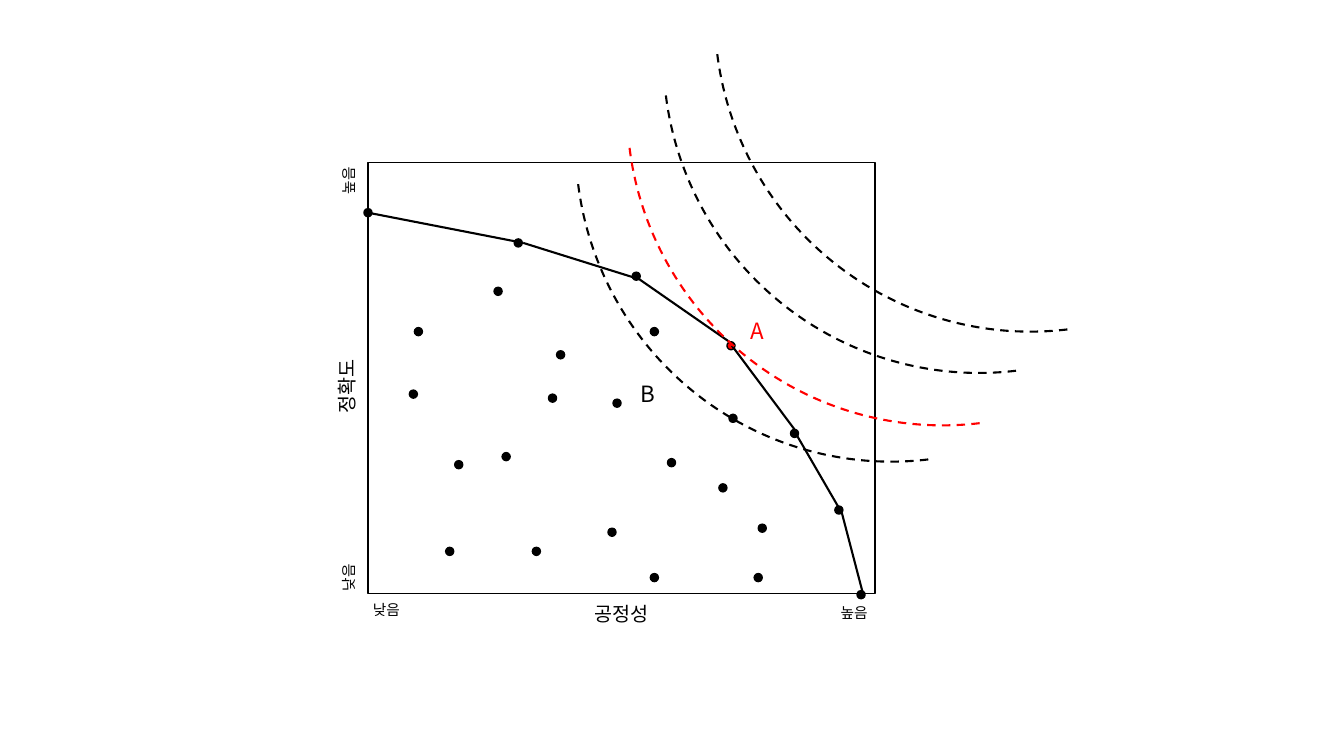
"""Build a slide of the accuracy and fairness trade-off with its frontier and indifference curves."""
from dataclasses import dataclass

from pptx import Presentation
from pptx.dml.color import RGBColor
from pptx.enum.dml import MSO_LINE_DASH_STYLE as DASH
from pptx.enum.shapes import MSO_CONNECTOR as CONN, MSO_SHAPE as SHAPE
from pptx.oxml.xmlchemy import OxmlElement
from pptx.util import Inches, Pt


@dataclass(frozen=True)
class Theme:
    font: str = "Noto Sans CJK KR"
    ink: str = "000000"
    accent: str = "FF0000"
    point: float = 16
    axis: float = 14
    tick: float = 10.5
    thin: float = 1
    thick: float = 1.5


T = Theme()
FRAME = (3.65, 1.61, 5.03, 4.28)
DOT = 0.08
DOTS = [
    (3.61, 2.07), (5.1, 2.37), (4.11, 3.25), (4.9, 2.85), (7.84, 4.26),
    (6.27, 2.7), (4.06, 3.87), (4.51, 4.57), (6.45, 3.25), (5.52, 3.48),
    (4.98, 4.49), (5.44, 3.91), (7.23, 4.11), (5.28, 5.43), (6.08, 3.96),
    (8.28, 5.02), (6.03, 5.24), (4.42, 5.43), (8.5, 5.86), (6.62, 4.55),
    (7.13, 4.8), (6.45, 5.69), (7.52, 5.2), (7.48, 5.69),
]
BEST_DOT = (7.21, 3.39)
FRONTIER = [
    (3.65, 2.11, 5.19, 2.41), (5.19, 2.41, 6.34, 2.77),
    (6.34, 2.77, 7.29, 3.43), (7.26, 3.43, 7.88, 4.26),
    (7.91, 4.33, 8.35, 5.09), (8.35, 5.09, 8.57, 5.93),
]
LABELS = [
    ("A", (7.34, 3.1, 0.62, 0.37), T.point, T.accent, 0),
    ("B", (6.25, 3.72, 0.62, 0.37), T.point, T.ink, 0),
    ("공정성", (5.8, 5.92, 0.99, 0.34), T.axis, T.ink, 0),
    ("정확도", (2.93, 3.52, 1.02, 0.34), T.axis, T.ink, 270),
    ("높음", (3.21, 1.63, 0.51, 0.28), T.tick, T.ink, 270),
    ("낮음", (3.21, 5.57, 0.51, 0.28), T.tick, T.ink, 270),
    ("낮음", (3.6, 5.91, 0.51, 0.28), T.tick, T.ink, 0),
    ("높음", (8.24, 5.94, 0.51, 0.28), T.tick, T.ink, 0),
]
CURVE_SIZE = (6.25, 6.28)
CURVE_TURN = 173.2
CURVES = [
    (6.22, -2.06, T.accent), (6.58, -2.58, T.ink),
    (7.09, -2.99, T.ink), (5.71, -1.7, T.ink),
]


def set_line(s, color, width):
    s.line.color.rgb = RGBColor.from_string(color)
    s.line.width = Pt(width)


def add_shape(slide, kind, box, fill=None, line=T.ink, width=T.thin):
    s = slide.shapes.add_shape(kind, *map(Inches, box))
    s.shadow.inherit = False
    if fill:
        s.fill.solid()
        s.fill.fore_color.rgb = RGBColor.from_string(fill)
    else:
        s.fill.background()
    set_line(s, line, width)
    return s


def add_segment(slide, ends):
    s = slide.shapes.add_connector(CONN.STRAIGHT, *map(Inches, ends))
    set_line(s, T.ink, T.thick)
    s._element.spPr.append(OxmlElement("a:effectLst"))


def add_text(slide, text, box, size=T.tick, color=T.ink, turn=0):
    s = slide.shapes.add_textbox(*map(Inches, box))
    s.rotation = turn
    tf = s.text_frame
    tf.word_wrap = True
    r = tf.paragraphs[0].add_run()
    r.text = text
    r.font.name = T.font
    r.font.size = Pt(size)
    r.font.color.rgb = RGBColor.from_string(color)
    ea = OxmlElement("a:ea")
    ea.set("typeface", T.font)
    r.font._element.append(ea)


def main():
    prs = Presentation()
    prs.slide_width, prs.slide_height = Inches(13.33), Inches(7.5)
    slide = prs.slides.add_slide(prs.slide_layouts[6])
    add_shape(slide, SHAPE.RECTANGLE, FRAME)
    for dot in DOTS:
        add_shape(slide, SHAPE.OVAL, (*dot, DOT, DOT), fill=T.ink)
    add_shape(slide, SHAPE.OVAL, (*BEST_DOT, DOT, DOT), fill=T.accent)
    for ends in FRONTIER:
        add_segment(slide, ends)
    for text, box, size, color, turn in LABELS:
        add_text(slide, text, box, size=size, color=color, turn=turn)
    for x, y, color in CURVES:
        s = add_shape(slide, SHAPE.ARC, (x, y, *CURVE_SIZE), line=color, width=T.thick)
        s.rotation = CURVE_TURN
        s.line.dash_style = DASH.DASH
    prs.save("out.pptx")


if __name__ == "__main__":
    main()
